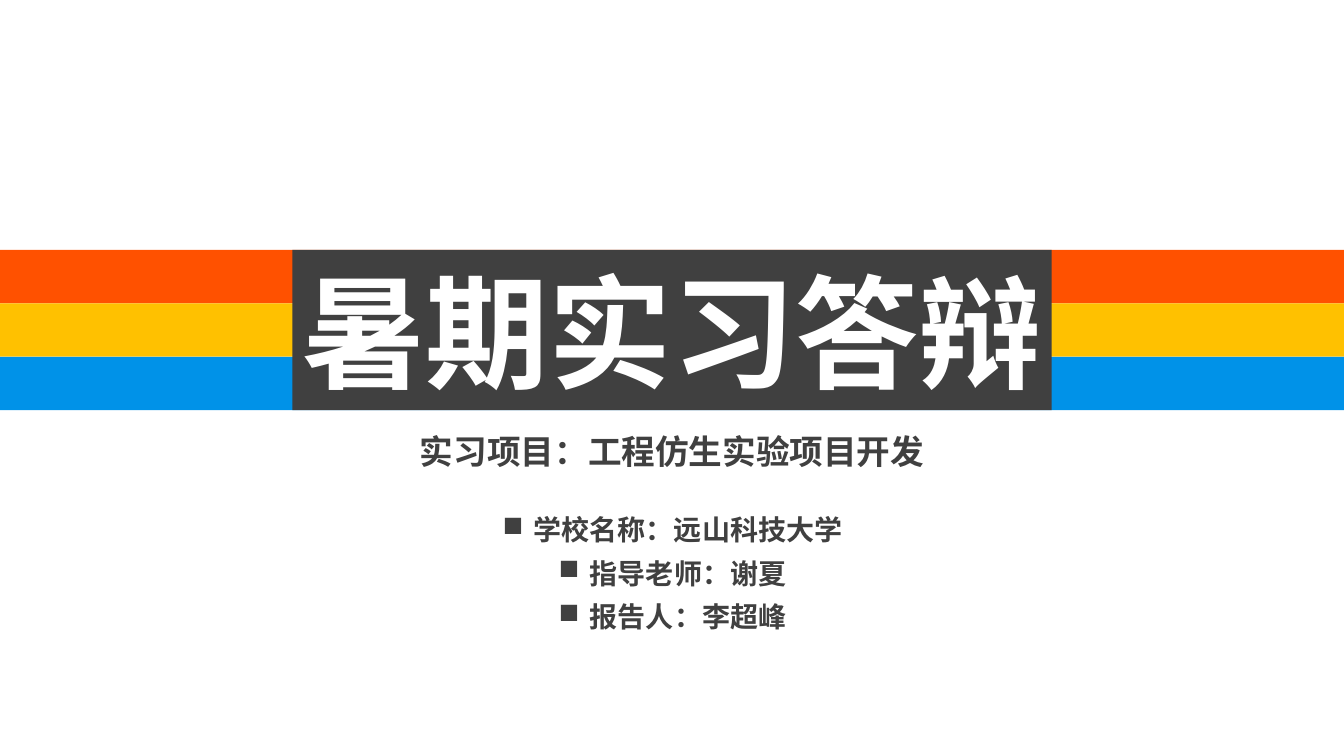
from lxml import etree
from pptx import Presentation
from pptx.dml.color import RGBColor
from pptx.enum import shapes, text
from pptx.oxml import ns
from pptx.util import Inches, Pt

RED = RGBColor(0xFF, 0x51, 0x00)
GOLD = RGBColor(0xFF, 0xC1, 0x00)
BLUE = RGBColor(0x00, 0x92, 0xE8)
DARK = RGBColor(0x40, 0x40, 0x40)
WHITE = RGBColor(0xFF, 0xFF, 0xFF)
FONT = "Noto Sans CJK SC"
WIDTH = 13.33
TOP, BAND = 2.48, 0.53

deck = Presentation()
deck.slide_width, deck.slide_height = Inches(WIDTH), Inches(7.5)
slide = deck.slides.add_slide(deck.slide_layouts[6])


def add_bar(left, top, width, height, color):
    """Add a plain filled rectangle."""
    bar = slide.shapes.add_shape(
        shapes.MSO_SHAPE.RECTANGLE,
        Inches(left), Inches(top), Inches(width), Inches(height))
    bar.shadow.inherit = False
    bar.fill.solid()
    bar.fill.fore_color.rgb = color
    bar.line.fill.background()
    return bar


def set_text(shape, words, size, color, wrap=False):
    """Fill a shape with centred bold text."""
    frame = shape.text_frame
    frame.text = words
    frame.word_wrap = wrap
    frame.vertical_anchor = text.MSO_ANCHOR.MIDDLE
    for para in frame.paragraphs:
        para.alignment = text.PP_ALIGN.CENTER
        for run in para.runs:
            font = run.font
            font.name, font.size, font.bold = FONT, Pt(size), True
            font.color.rgb = color
            east = etree.SubElement(font._element, ns.qn("a:ea"))
            east.set("typeface", FONT)
    return frame


for row, color in enumerate([RED, GOLD, BLUE]):
    add_bar(0, TOP + row * BAND, WIDTH, BAND, color)

title = add_bar(2.9, TOP, 7.53, 3 * BAND, DARK)
set_text(title, "暑期实习答辩", 88, WHITE)

topic = slide.shapes.add_textbox(
    Inches(4.04), Inches(4.23), Inches(5.25), Inches(0.5))
set_text(topic, "实习项目：工程仿生实验项目开发", 24, DARK)

details = slide.shapes.add_textbox(
    Inches(3.8), Inches(4.93), Inches(5.74), Inches(1.41))
lines = ["学校名称：远山科技大学", "指导老师：谢夏", "报告人：李超峰"]
frame = set_text(details, "\n".join(lines), 20, DARK, wrap=True)
for para in frame.paragraphs:
    para.line_spacing = 1.3
    props = para._p.get_or_add_pPr()
    props.set("marL", str(Inches(0.31)))
    props.set("indent", str(-Inches(0.31)))
    etree.SubElement(props, ns.qn("a:buChar")).set("char", "■")

deck.save("out.pptx")
